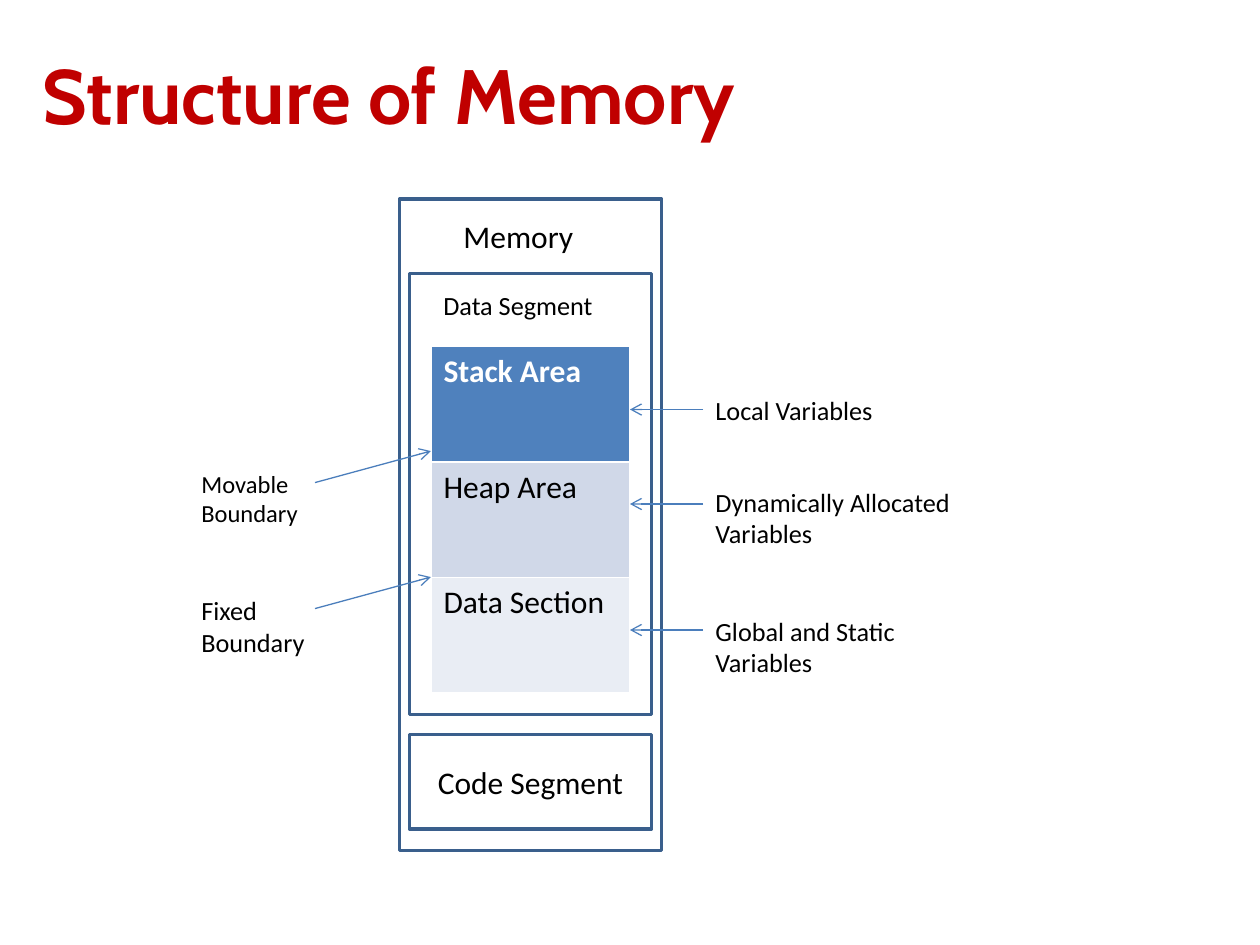
"""Build a slide that shows how memory is divided into segments."""
from pptx import Presentation
from pptx.dml.color import RGBColor
from pptx.enum import shapes, text
from pptx.oxml.ns import qn
from pptx.util import Inches, Pt
from lxml import etree

RED = RGBColor(0xC0, 0x00, 0x00)
BLACK = RGBColor(0x00, 0x00, 0x00)
WHITE = RGBColor(0xFF, 0xFF, 0xFF)
OUTLINE = RGBColor(0x3A, 0x5F, 0x8C)
ARROW = RGBColor(0x4B, 0x7E, 0xBC)
STACK = RGBColor(0x4F, 0x81, 0xBD)
HEAP = RGBColor(0xD0, 0xD8, 0xE8)
DATA = RGBColor(0xE9, 0xED, 0xF4)

BODY = {"name": "Calibri", "size": Pt(18), "bold": False}
LABEL = BODY | {"size": Pt(15)}
SMALL = BODY | {"size": Pt(14)}
TITLE = {"name": "Cabin", "size": Pt(44), "bold": True}

AREAS = [
    ("Stack Area", STACK, WHITE, True),
    ("Heap Area", HEAP, BLACK, False),
    ("Data Section", DATA, BLACK, False),
]
LABELS = [
    ("Memory", 3.58, 1.67, 1.25, 0.4, BODY, True),
    ("Data Segment", 3.42, 2.25, 1.58, 0.35, LABEL, True),
    ("Movable\nBoundary", 1.5, 3.67, 1.04, 0.57, SMALL, False),
    ("Fixed\nBoundary", 1.5, 4.67, 1.17, 0.61, LABEL, True),
    ("Local Variables", 5.58, 3.08, 1.63, 0.35, LABEL, False),
    ("Dynamically Allocated\nVariables", 5.58, 3.81, 2.31, 0.61, LABEL, False),
    ("Global and Static\nVariables", 5.58, 4.83, 1.81, 0.61, LABEL, False),
]


def write(frame, words, formats, color):
    """Fill a text frame, one paragraph per line, in one format."""
    frame.text = words
    for paragraph in frame.paragraphs:
        for run in paragraph.runs:
            for name, value in formats.items():
                setattr(run.font, name, value)
            run.font.color.rgb = color


def add_label(slide, words, left, top, width, height, formats, wrap=True, color=BLACK):
    """Add a text box and return its frame."""
    box = slide.shapes.add_textbox(*map(Inches, (left, top, width, height)))
    box.text_frame.word_wrap = wrap
    write(box.text_frame, words, formats, color)
    return box.text_frame


def add_title(slide):
    """Add the slide title without side margins."""
    frame = add_label(slide, "Structure of Memory", 0.34, 0.37, 6.75, 0.88, TITLE, color=RED)
    margins = {"margin_left": 0, "margin_top": Inches(0.01), "margin_right": 0, "margin_bottom": 0}
    for name, value in margins.items():
        setattr(frame, name, value)
    frame.paragraphs[0].space_before = Pt(1)


def add_block(slide, left, top, width, height, words=""):
    """Add an outlined white block with optional centred text."""
    block = slide.shapes.add_shape(
        shapes.MSO_SHAPE.RECTANGLE, *map(Inches, (left, top, width, height)))
    block.shadow.inherit = False
    block.fill.solid()
    block.fill.fore_color.rgb = WHITE
    block.line.color.rgb = OUTLINE
    block.line.width = Pt(2)
    if words:
        write(block.text_frame, words, BODY, BLACK)
        block.text_frame.vertical_anchor = text.MSO_ANCHOR.MIDDLE
        block.text_frame.paragraphs[0].alignment = text.PP_ALIGN.CENTER


def add_areas(slide):
    """Add the table of areas inside the data segment."""
    table = slide.shapes.add_table(
        len(AREAS), 1, *map(Inches, (3.42, 2.75, 1.58, 2.75))).table
    for cell, (words, fill, color, bold) in zip(table.iter_cells(), AREAS):
        cell.fill.solid()
        cell.fill.fore_color.rgb = fill
        write(cell.text_frame, words, BODY | {"bold": bold}, color)


def add_arrow(slide, start_x, start_y, end_x, end_y):
    """Add a thin line with an open arrowhead at its end."""
    arrow = slide.shapes.add_connector(
        shapes.MSO_CONNECTOR.STRAIGHT, *map(Inches, (start_x, start_y, end_x, end_y)))
    arrow.line.color.rgb = ARROW
    arrow.line.width = Pt(0.75)
    etree.SubElement(arrow.line._get_or_add_ln(), qn("a:tailEnd"), type="arrow")
    etree.SubElement(arrow._element.spPr, qn("a:effectLst"))


def main():
    """Build and save the slide."""
    presentation = Presentation()
    presentation.slide_width = Inches(10)
    presentation.slide_height = Inches(7.5)
    slide = presentation.slides.add_slide(presentation.slide_layouts[6])
    add_title(slide)
    add_block(slide, 3.17, 1.58, 2.08, 5.17)
    add_block(slide, 3.25, 2.17, 1.92, 3.5)
    add_block(slide, 3.25, 5.83, 1.92, 0.75, "Code Segment")
    add_areas(slide)
    for boundary in (3.58, 4.58):
        add_arrow(slide, 2.5, boundary + 0.25, 3.42, boundary)
    for level in (3.25, 4, 5):
        add_arrow(slide, 5.58, level, 5, level)
    for label in LABELS:
        add_label(slide, *label)
    presentation.save("out.pptx")


if __name__ == "__main__":
    main()
